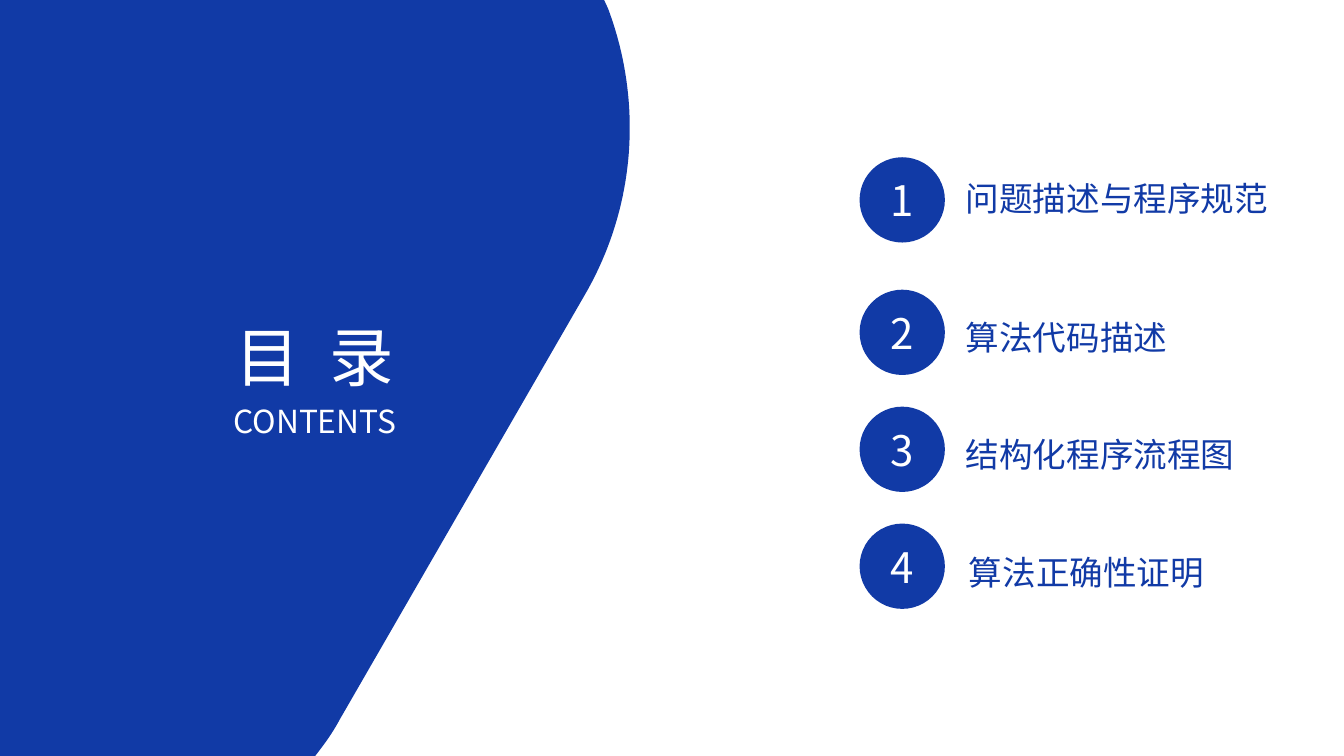
from typing import NamedTuple

from lxml.etree import SubElement
from pptx import Presentation
from pptx.dml.color import RGBColor as Rgb
from pptx.enum.shapes import MSO_SHAPE as Kind
from pptx.enum.text import PP_ALIGN as Align
from pptx.oxml.ns import qn
from pptx.util import Pt

COLORS = {"blue": "113AA6", "white": "FFFFFF"}
FONT = "Noto Sans CJK SC"
LEADING = 1.2

DISC_LEFT, DISC_SIZE = 921, 91.4
NUM_DROP = 18.7


class Point(NamedTuple):
    x: float
    y: float


class Label(NamedTuple):
    text: str
    left: float
    top: float
    width: float
    size: float
    color: str
    align: Align = Align.LEFT
    gap: float = 0


class Entry(NamedTuple):
    text: str
    top: float
    left: float
    drop: float


ENTRIES = [
    Entry("问题描述与程序规范", 168.5, 1034.6, 22.3),
    Entry("算法代码描述", 310.4, 1034.6, 28.8),
    Entry("结构化程序流程图", 435.7, 1034.6, 29.4),
    Entry("算法正确性证明", 561, 1038.2, 30.1),
]

TITLES = [
    Label("目 录", 205.2, 339.8, 264.2, 69, "white", Align.CENTER, 7.7),
    Label("CONTENTS", 205.2, 430.6, 264.2, 34, "white", Align.CENTER),
]


def curve(a: Point, b: Point, c: Point, d: Point, steps: int = 40) -> list[Point]:
    """Sample a cubic Bezier curve, leaving out its first point."""
    points = []
    for step in range(1, steps + 1):
        t = step / steps
        u = 1 - t
        parts = (u**3, 3 * u * u * t, 3 * u * t * t, t**3)
        points.append(Point(
            sum(w * p.x for w, p in zip(parts, (a, b, c, d))),
            sum(w * p.y for w, p in zip(parts, (a, b, c, d))),
        ))
    return points


def paint(shape) -> None:
    shape.shadow.inherit = False
    shape.fill.solid()
    shape.fill.fore_color.rgb = Rgb.from_string(COLORS["blue"])
    shape.line.fill.background()


def add_panel(shapes) -> None:
    top, low = Point(651.6, 9.4), Point(625.7, 317.5)
    foot, end = Point(364.3, 770.4), Point(344.2, 801.4)
    edge = [
        Point(647.3, 0), top,
        *curve(top, Point(688.3, 107.3), Point(682.6, 220.3), low),
        foot,
        *curve(foot, Point(358.6, 781.2), Point(351.4, 792), end, 8),
        Point(337.7, 810), Point(0, 810),
    ]
    pen = shapes.build_freeform(0, 0)
    pen.add_line_segments([(Pt(p.x), Pt(p.y)) for p in edge], close=True)
    paint(pen.convert_to_shape())


def add_label(shapes, label: Label) -> None:
    height = label.size * LEADING
    box = shapes.add_textbox(
        Pt(label.left), Pt(label.top), Pt(label.width), Pt(height)
    )
    frame = box.text_frame
    frame.margin_left = frame.margin_right = 0
    frame.margin_top = frame.margin_bottom = 0
    frame.word_wrap = True
    frame.text = label.text
    para = frame.paragraphs[0]
    para.alignment = label.align
    para.line_spacing = Pt(height)
    run = para.runs[0]
    run.font.size = Pt(label.size)
    run.font.name = FONT
    run.font.color.rgb = Rgb.from_string(COLORS[label.color])
    props = run.font._element
    SubElement(props, qn("a:ea")).set("typeface", FONT)
    if label.gap:
        props.set("spc", str(round(label.gap * 100)))


def add_entry(shapes, entry: Entry, num: int) -> None:
    disc = shapes.add_shape(
        Kind.OVAL, Pt(DISC_LEFT), Pt(entry.top), Pt(DISC_SIZE), Pt(DISC_SIZE)
    )
    paint(disc)
    add_label(shapes, Label(str(num), DISC_LEFT, entry.top + NUM_DROP,
                            DISC_SIZE, 45, "white", Align.CENTER))
    add_label(shapes, Label(entry.text, entry.left, entry.top + entry.drop,
                            328, 36, "blue"))


def main() -> None:
    deck = Presentation()
    deck.slide_width, deck.slide_height = Pt(1440), Pt(810)
    shapes = deck.slides.add_slide(deck.slide_layouts[6]).shapes
    add_panel(shapes)
    for title in TITLES:
        add_label(shapes, title)
    for num, entry in enumerate(ENTRIES, 1):
        add_entry(shapes, entry, num)
    deck.save("out.pptx")


if __name__ == "__main__":
    main()
